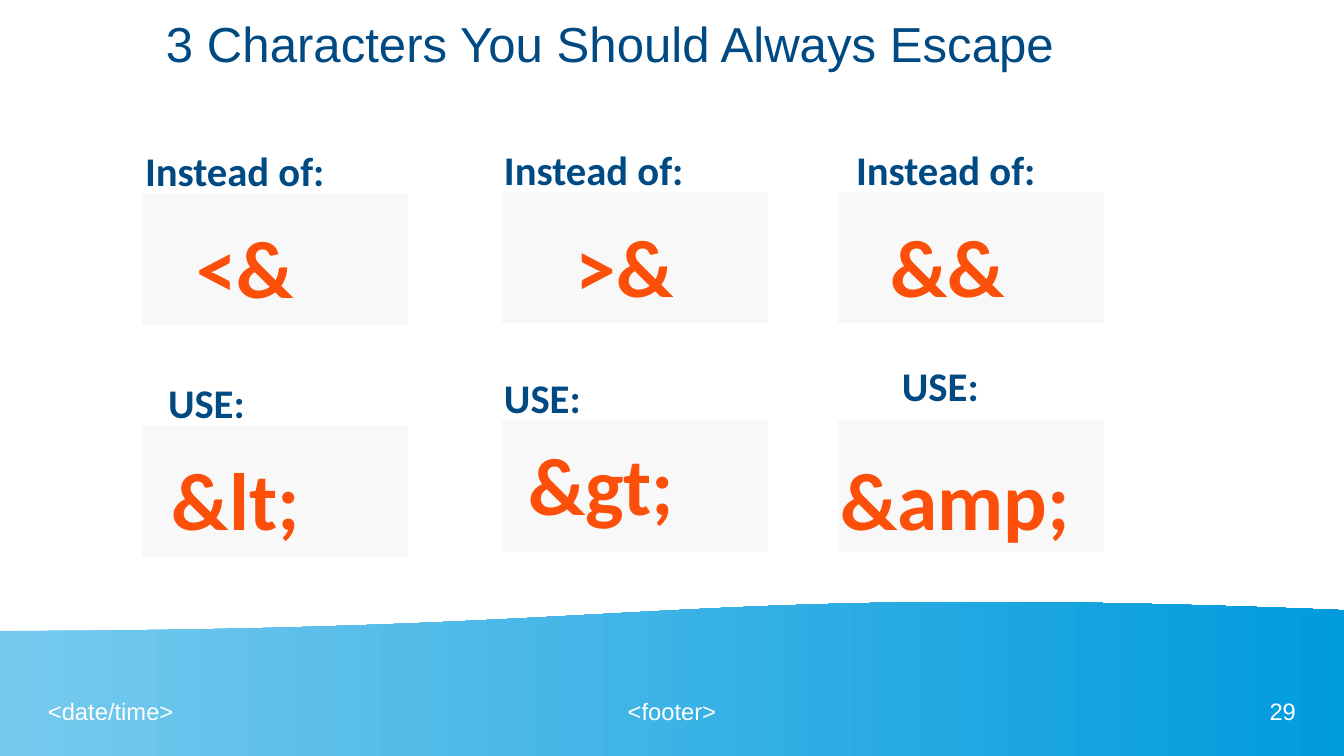
from pptx import Presentation
from pptx.dml.color import RGBColor
from pptx.enum.shapes import MSO_SHAPE as SHAPE
from pptx.enum.text import PP_ALIGN as ALIGN
from pptx.util import Pt

PX = 914400 / 122
NAVY = RGBColor(0x00, 0x4A, 0x84)
ORANGE = RGBColor(0xFC, 0x4F, 0x09)
PALE = RGBColor(0xF8, 0xF8, 0xF8)
WHITE = RGBColor(0xFF, 0xFF, 0xFF)
SKY = RGBColor(0x77, 0xCA, 0xEE)
BLUE = RGBColor(0x00, 0x9B, 0xDD)


def add_shape(kind, *box):
    sp = s.shapes.add_shape(kind, *[round(v * PX) for v in box])
    sp.shadow.inherit = False
    sp.line.fill.background()
    return sp


def add_text(text, box, size, color, font="Calibri", bold=False, align=ALIGN.LEFT):
    tf = s.shapes.add_textbox(*[round(v * PX) for v in box]).text_frame
    tf.word_wrap = True
    tf.margin_left = tf.margin_top = tf.margin_right = tf.margin_bottom = 0
    p = tf.paragraphs[0]
    p.text = text
    p.alignment = align
    f = p.runs[0].font
    f.size, f.name, f.bold = Pt(size), font, bold
    f.color.rgb = color


prs = Presentation()
prs.slide_width, prs.slide_height = round(1344 * PX), round(756 * PX)
s = prs.slides.add_slide(prs.slide_layouts[6])

wave = add_shape(SHAPE.FLOWCHART_DOCUMENT, 0, 600, 1344, 156)
xfrm = wave._element.spPr.find("{*}xfrm")
xfrm.set("flipH", "1")
xfrm.set("flipV", "1")
wave.fill.gradient()
wave.fill.gradient_angle = 180
for stop, color in zip(wave.fill.gradient_stops, (SKY, BLUE)):
    stop.color.rgb = color

for text, x, w, align in [
    ("<date/time>", 48, 312, ALIGN.LEFT),
    ("<footer>", 456, 432, ALIGN.CENTER),
    ("29", 984, 312, ALIGN.RIGHT),
]:
    add_text(text, (x, 697, w, 48), 14, WHITE, font="Arial", align=align)

add_text("3 Characters You Should Always Escape", (166, 13, 911, 55), 29, NAVY, font="Arial")

panels = [
    (142, 194, "Instead of:", 145, 146, "<&", 196, 217),
    (142, 426, "USE:", 168, 378, "&lt;", 172, 449),
    (502, 192, "Instead of:", 504, 145, ">&", 576, 216),
    (502, 421, "USE:", 504, 373, "&gt;", 528, 434),
    (838, 192, "Instead of:", 856, 145, "&&", 890, 216),
    (838, 421, "USE:", 902, 361, "&amp;", 840, 449),
]
for x, y, label, label_x, label_y, code, code_x, code_y in panels:
    panel = add_shape(SHAPE.RECTANGLE, x, y, 266, 131)
    panel.fill.solid()
    panel.fill.fore_color.rgb = PALE
    add_text(label, (label_x, label_y, 248, 48), 24, NAVY, bold=True)
    add_text(code, (code_x, code_y, 260, 95), 48, ORANGE, bold=True)

prs.save("out.pptx")
